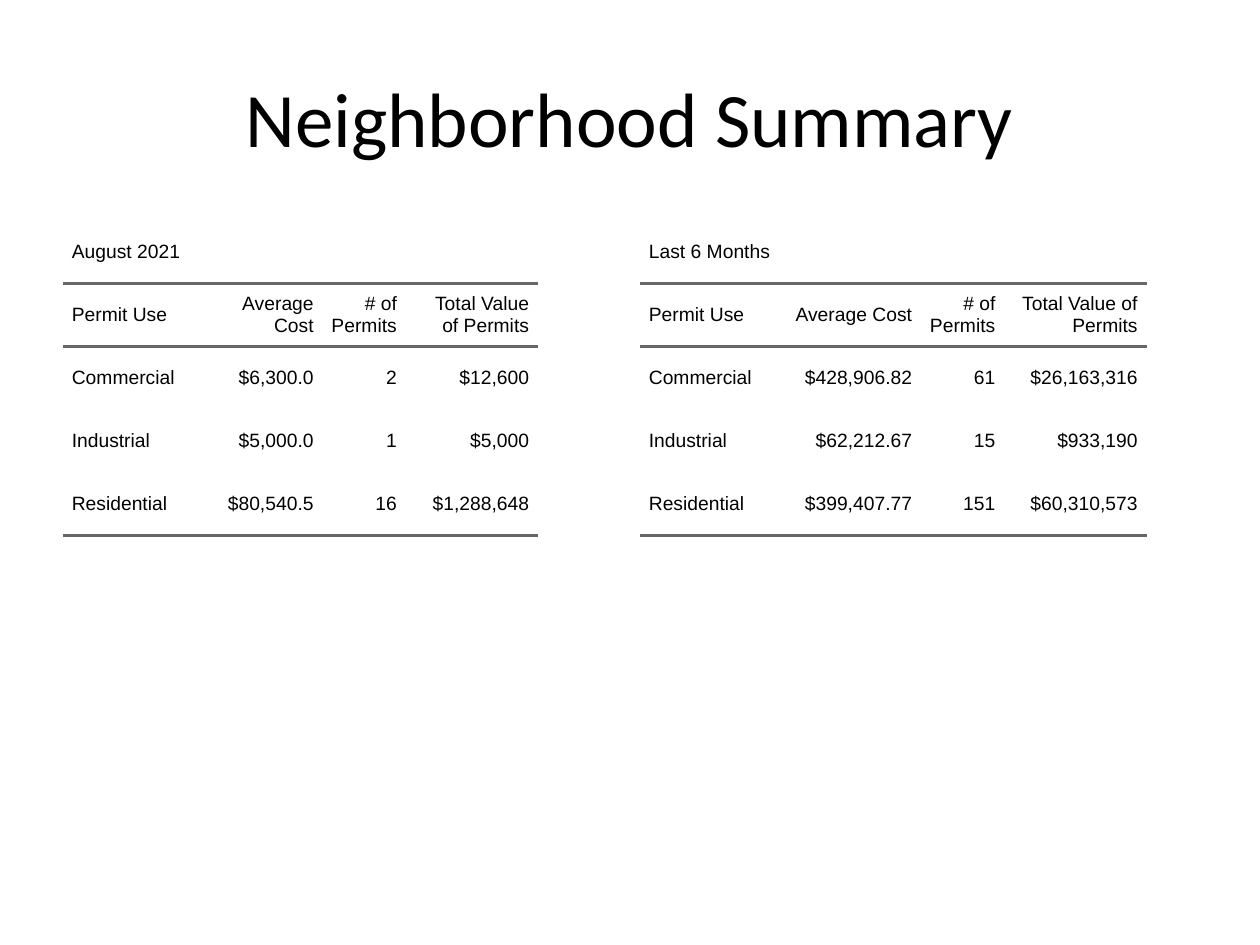
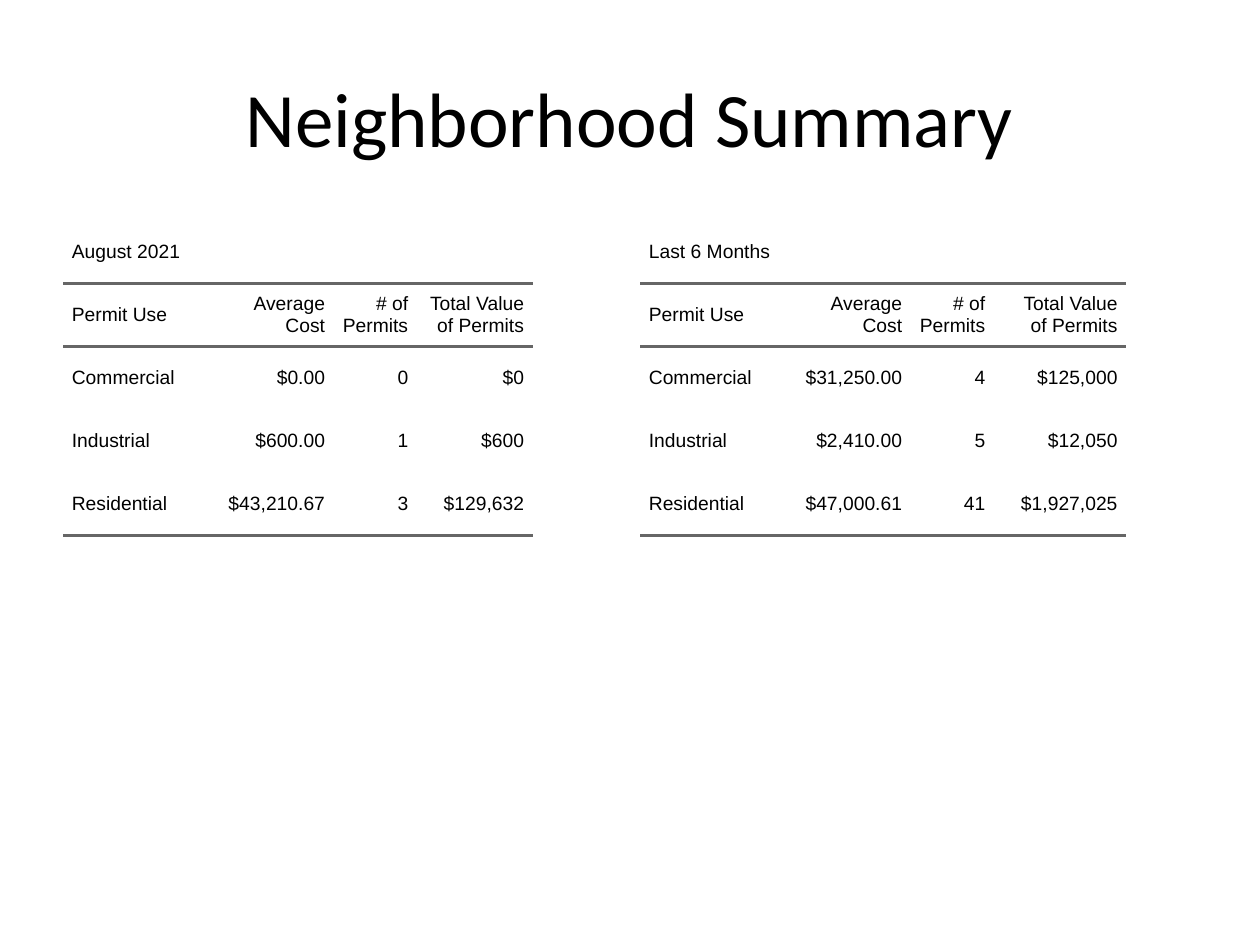
from dataclasses import dataclass

from lxml.etree import SubElement
from pptx import Presentation
from pptx.dml.color import RGBColor
from pptx.enum.text import MSO_ANCHOR, PP_ALIGN
from pptx.oxml.ns import qn
from pptx.slide import Slide
from pptx.table import _Cell as Cell
from pptx.util import Inches, Pt

# Shared style
COLORS = {"text": "000000", "rule": "666666"}
TITLE_FONT, TABLE_FONT = "Calibri", "Arial"
NO_GRID_STYLE = "{2D5ABB26-0587-4C30-8999-92F81FD0307C}"
RULE_WIDTH = Pt(2)
CELL_PAD = Inches(0.07)
ROW_HEIGHT = Inches(0.5)
TABLE_TOP = Inches(1.75)
TABLE_LEFTS = (Inches(0.5), Inches(5.08))
USE_WIDTH, COUNT_WIDTH = 1.1, 0.66

TITLE = "Neighborhood Summary"
PERIODS = ("August 2021", "Last 6 Months")
HEADERS = ("Permit Use", "Average Cost", "# of Permits", "Total Value of Permits")
USES = ("Commercial", "Industrial", "Residential")


@dataclass
class PermitTable:
    """Figures per permit use: average cost, number of permits, total value."""
    cost_width: float
    value_width: float
    figures: tuple[tuple[str, str, str], ...]


# Each slide holds one table per period
SUMMARIES = (
    (
        PermitTable(0.96, 1.05, (("$6,300.0", "2", "$12,600"),
                                 ("$5,000.0", "1", "$5,000"),
                                 ("$80,540.5", "16", "$1,288,648"))),
        PermitTable(1.13, 1.13, (("$428,906.82", "61", "$26,163,316"),
                                 ("$62,212.67", "15", "$933,190"),
                                 ("$399,407.77", "151", "$60,310,573"))),
    ),
    (
        PermitTable(1.05, 0.92, (("$0.00", "0", "$0"),
                                 ("$600.00", "1", "$600"),
                                 ("$43,210.67", "3", "$129,632"))),
        PermitTable(1.05, 1.05, (("$31,250.00", "4", "$125,000"),
                                 ("$2,410.00", "5", "$12,050"),
                                 ("$47,000.61", "41", "$1,927,025"))),
    ),
)


def add_rule(cell: Cell, side: str) -> None:
    """Draw a cell border; side is "a:lnT" or "a:lnB"."""
    tc_pr = cell._tc.get_or_add_tcPr()
    line = SubElement(tc_pr, qn(side), w=str(RULE_WIDTH))
    fill = SubElement(line, qn("a:solidFill"))
    SubElement(fill, qn("a:srgbClr"), val=COLORS["rule"])


def format_cell(cell: Cell, text: str, align: PP_ALIGN, sides: tuple[str, ...]) -> None:
    for side in sides:
        add_rule(cell, side)
    cell.fill.background()
    cell.margin_left = cell.margin_right = CELL_PAD
    cell.margin_top = cell.margin_bottom = 0
    cell.vertical_anchor = MSO_ANCHOR.MIDDLE
    cell.text = text
    p = cell.text_frame.paragraphs[0]
    p.alignment = align
    p.font.name = TABLE_FONT
    p.font.size = Pt(11)
    p.font.color.rgb = RGBColor.from_string(COLORS["text"])


def add_permit_table(s: Slide, left: int, period: str, data: PermitTable) -> None:
    rows = [HEADERS] + [(use, *row) for use, row in zip(USES, data.figures)]
    widths = [Inches(w) for w in (USE_WIDTH, data.cost_width, COUNT_WIDTH, data.value_width)]
    table = s.shapes.add_table(len(rows) + 1, len(widths), left, TABLE_TOP,
                               sum(widths), ROW_HEIGHT * (len(rows) + 1)).table
    table.first_row = table.horz_banding = False
    table._tbl.tblPr.find(qn("a:tableStyleId")).text = NO_GRID_STYLE
    for column, width in zip(table.columns, widths):
        column.width = width

    # Period across the top
    table.cell(0, 0).merge(table.cell(0, len(widths) - 1))
    format_cell(table.cell(0, 0), period, PP_ALIGN.LEFT, ())

    # Header between rules, figures closed by a rule
    rules = {1: ("a:lnT", "a:lnB"), len(rows): ("a:lnB",)}
    for i, row in enumerate(rows, start=1):
        for j, text in enumerate(row):
            align = PP_ALIGN.RIGHT if j else PP_ALIGN.LEFT
            format_cell(table.cell(i, j), text, align, rules.get(i, ()))


def set_title(s: Slide) -> None:
    title = s.shapes.title
    title.left, title.top = Inches(0.5), Inches(0.3)
    title.width, title.height = Inches(9), Inches(1.25)
    tf = title.text_frame
    tf.text = TITLE
    tf.vertical_anchor = MSO_ANCHOR.MIDDLE
    p = tf.paragraphs[0]
    p.alignment = PP_ALIGN.CENTER
    p.font.name = TITLE_FONT
    p.font.size = Pt(44)
    p.font.color.rgb = RGBColor.from_string(COLORS["text"])


def main() -> None:
    prs = Presentation()
    prs.slide_width, prs.slide_height = Inches(10), Inches(7.5)
    title_only = prs.slide_layouts[5]
    for tables in SUMMARIES:
        s = prs.slides.add_slide(title_only)
        set_title(s)
        for left, period, data in zip(TABLE_LEFTS, PERIODS, tables):
            add_permit_table(s, left, period, data)
    prs.save("out.pptx")


if __name__ == "__main__":
    main()
